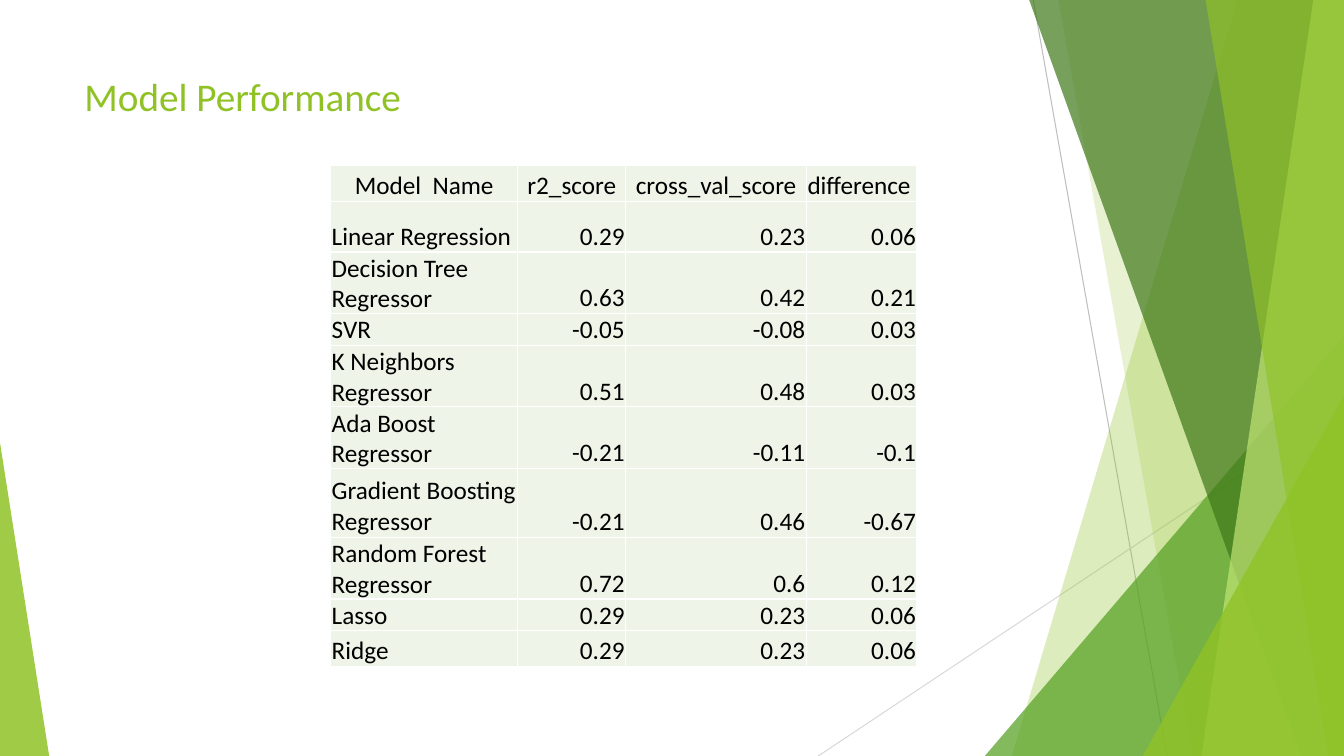
from dataclasses import dataclass

import lxml.etree
import pptx
import pptx.dml.color
import pptx.enum.shapes
import pptx.enum.text
import pptx.oxml.ns
import pptx.util

Cm = pptx.util.Cm
RGBColor = pptx.dml.color.RGBColor
Align = pptx.enum.text.PP_ALIGN
qn = pptx.oxml.ns.qn

LIME = RGBColor(0x90, 0xC2, 0x26)
GREEN = RGBColor(0x54, 0xA0, 0x21)
DARK_GREEN = RGBColor(0x3F, 0x78, 0x19)
PALE_LIME = RGBColor(0xC0, 0xE4, 0x74)
GREY = RGBColor(0xBF, 0xBF, 0xBF)
LIGHT_GREY = RGBColor(0xD9, 0xD9, 0xD9)
CELL_FILL = RGBColor(0xEE, 0xF4, 0xE8)
WHITE = RGBColor(0xFF, 0xFF, 0xFF)
BLACK = RGBColor(0, 0, 0)

FONT = "Calibri"
SLIDE_W, SLIDE_H = 33.87, 19.05
BAND_TOP = -0.02


@dataclass
class Line:
    x1: float
    y1: float
    x2: float
    y2: float
    color: RGBColor


@dataclass
class Band:
    top_x: float
    bottom_x: float
    color: RGBColor
    opacity: int


@dataclass
class Triangle:
    x: float
    y: float
    w: float
    apex: float
    color: RGBColor
    opacity: int


LINES = [
    Line(26.04, 0, 29.41, SLIDE_H, GREY),
    Line(SLIDE_W, 10.24, 20.62, SLIDE_H, LIGHT_GREY),
]
FACETS = [
    Band(31.19, 25.5, LIME, 30),
    Band(26.67, 30.05, LIME, 20),
    Triangle(24.82, 8.46, 9.05, 1, GREEN, 72),
    Band(25.93, 32.79, DARK_GREEN, 70),
    Band(33.1, 30.28, PALE_LIME, 70),
    Band(30.38, 33.48, LIME, 65),
    Triangle(28.8, 9.98, 5.07, 1, LIME, 80),
    Triangle(0, 11.15, 1.24, 0, LIME, 85),
]

COL_WIDTHS = [4.72, 2.72, 4.55, 2.79]
ROW_HEIGHTS = [0.91, 1.27, 1.5, 0.61, 1.24, 1.12, 1.73, 1.19, 0.61, 0.91]
SCORES = [
    ("Model  Name", "r2_score", "cross_val_score", "difference"),
    ("Linear Regression", "0.29", "0.23", "0.06"),
    ("Decision Tree Regressor", "0.63", "0.42", "0.21"),
    ("SVR", "-0.05", "-0.08", "0.03"),
    ("K Neighbors Regressor", "0.51", "0.48", "0.03"),
    ("Ada Boost Regressor", "-0.21", "-0.11", "-0.1"),
    ("Gradient Boosting Regressor", "-0.21", "0.46", "-0.67"),
    ("Random Forest Regressor", "0.72", "0.6", "0.12"),
    ("Lasso", "0.29", "0.23", "0.06"),
    ("Ridge", "0.29", "0.23", "0.06"),
]
HEADER_ALIGN = [Align.CENTER, Align.CENTER, Align.CENTER, Align.LEFT]
BODY_ALIGN = [Align.LEFT, Align.RIGHT, Align.RIGHT, Align.RIGHT]


def draw_line(s, line: Line) -> None:
    sp = s.shapes.add_connector(
        pptx.enum.shapes.MSO_CONNECTOR.STRAIGHT,
        Cm(line.x1), Cm(line.y1), Cm(line.x2), Cm(line.y2),
    )
    sp.line.color.rgb = line.color
    sp.line.width = pptx.util.Pt(0.75)
    lxml.etree.SubElement(sp._element.spPr, qn("a:effectLst"))


def add_band(s, band: Band):
    builder = s.shapes.build_freeform(Cm(band.top_x), Cm(BAND_TOP))
    builder.add_line_segments([
        (Cm(SLIDE_W), Cm(BAND_TOP)),
        (Cm(SLIDE_W), Cm(SLIDE_H)),
        (Cm(band.bottom_x), Cm(SLIDE_H)),
    ])
    return builder.convert_to_shape()


def add_triangle(s, tri: Triangle):
    sp = s.shapes.add_shape(
        pptx.enum.shapes.MSO_SHAPE.ISOSCELES_TRIANGLE,
        Cm(tri.x), Cm(tri.y), Cm(tri.w), Cm(SLIDE_H - tri.y),
    )
    sp.adjustments[0] = tri.apex
    return sp


def draw_facet(s, facet: Band | Triangle) -> None:
    sp = add_band(s, facet) if isinstance(facet, Band) else add_triangle(s, facet)
    sp.shadow.inherit = False
    sp.line.fill.background()
    sp.fill.solid()
    sp.fill.fore_color.rgb = facet.color
    color = sp._element.spPr.find(qn("a:solidFill"))[0]
    lxml.etree.SubElement(color, qn("a:alpha"), val=str(facet.opacity * 1000))


def add_run(p, text: str, size: int, color: RGBColor) -> None:
    r = p.add_run()
    r.text = text
    r.font.name = FONT
    r.font.size = pptx.util.Pt(size)
    r.font.color.rgb = color


def draw_title(s) -> None:
    sp = s.shapes.add_textbox(Cm(1.88), Cm(1.7), Cm(23.88), Cm(3.66))
    tf = sp.text_frame
    tf.word_wrap = True
    add_run(tf.paragraphs[0], "Model Performance", 28, LIME)


def fill_cell(cell, text: str, align: Align) -> None:
    cell.margin_left = cell.margin_right = cell.margin_top = Cm(0.03)
    cell.margin_bottom = 0
    cell.vertical_anchor = pptx.enum.text.MSO_ANCHOR.BOTTOM
    for side in ("a:lnL", "a:lnR", "a:lnT", "a:lnB"):
        ln = lxml.etree.SubElement(cell._tc.tcPr, qn(side), w=str(pptx.util.Pt(1)))
        border = lxml.etree.SubElement(ln, qn("a:solidFill"))
        lxml.etree.SubElement(border, qn("a:srgbClr"), val=str(WHITE))
    cell.fill.solid()
    cell.fill.fore_color.rgb = CELL_FILL
    p = cell.text_frame.paragraphs[0]
    p.alignment = align
    add_run(p, text, 18, BLACK)


def draw_scores(s) -> None:
    table = s.shapes.add_table(
        len(SCORES), len(COL_WIDTHS), Cm(8.33), Cm(4.17),
        Cm(sum(COL_WIDTHS)), Cm(sum(ROW_HEIGHTS)),
    ).table
    table.first_row = table.horz_banding = False
    for column, width in zip(table.columns, COL_WIDTHS):
        column.width = Cm(width)
    for i, (row, height) in enumerate(zip(table.rows, ROW_HEIGHTS)):
        row.height = Cm(height)
        aligns = BODY_ALIGN if i else HEADER_ALIGN
        for cell, text, align in zip(row.cells, SCORES[i], aligns):
            fill_cell(cell, text, align)


def main() -> None:
    prs = pptx.Presentation()
    prs.slide_width, prs.slide_height = Cm(SLIDE_W), Cm(SLIDE_H)
    s = prs.slides.add_slide(prs.slide_layouts[6])
    for line in LINES:
        draw_line(s, line)
    for facet in FACETS:
        draw_facet(s, facet)
    draw_title(s)
    draw_scores(s)
    prs.save("out.pptx")


if __name__ == "__main__":
    main()
